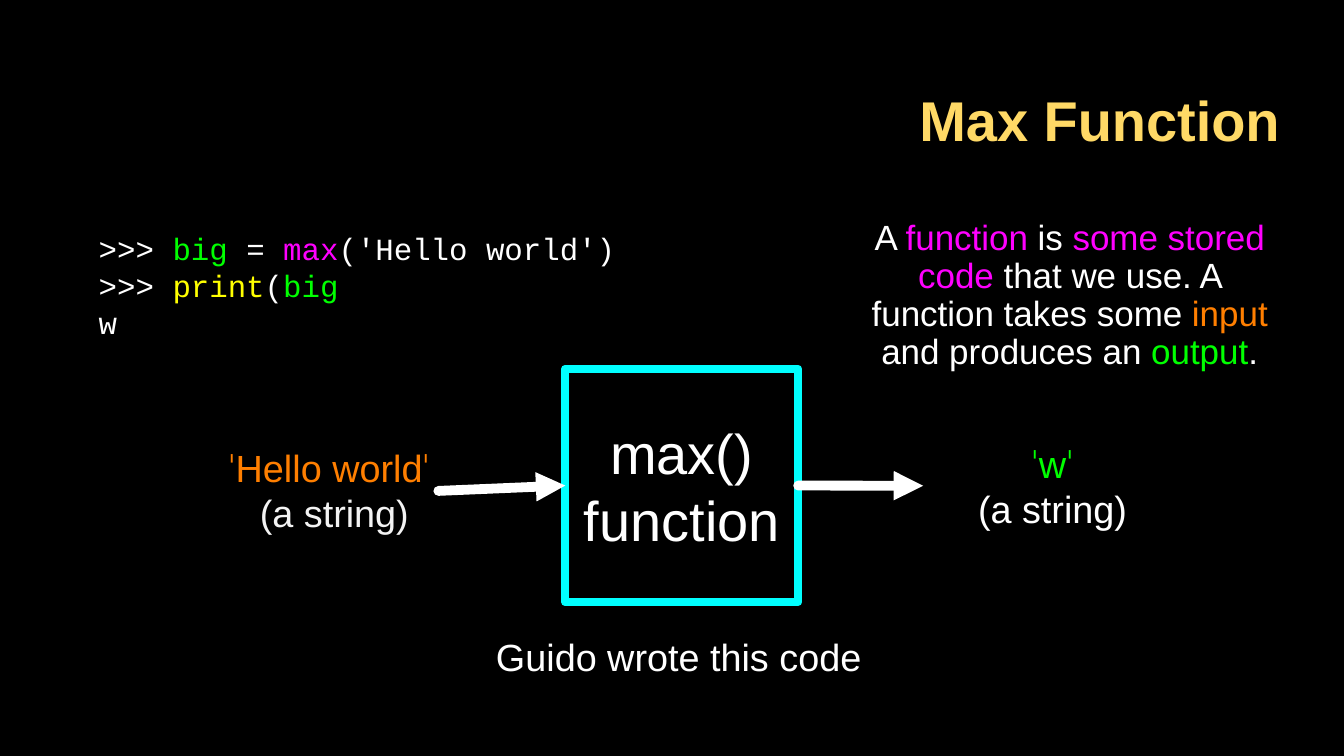
from dataclasses import dataclass

from lxml.etree import SubElement
from pptx import Presentation
from pptx.dml.color import RGBColor
from pptx.enum.shapes import MSO_CONNECTOR, MSO_SHAPE
from pptx.enum.text import MSO_ANCHOR, MSO_AUTO_SIZE, PP_ALIGN
from pptx.oxml.ns import qn
from pptx.util import Cm, Pt


@dataclass(frozen=True)
class Theme:
    black: str = "000000"
    white: str = "FFFFFF"
    pale: str = "F3F3F3"
    gold: str = "FFD966"
    green: str = "00FF00"
    magenta: str = "FF00FF"
    yellow: str = "FFFF00"
    orange: str = "FF7F00"
    cyan: str = "00FFFF"
    sans: str = "Arial"
    mono: str = "Courier New"
    quote: str = "TeX Gyre Adventor"
    heading: int = 40
    label: int = 27
    note: int = 25
    code: int = 22
    frame: int = 6
    arrow: int = 7


THEME = Theme()

# Each line is a list of spans: (text, colour) or (text, colour, font).
TITLE = [[("Max Function", THEME.gold)]]
FUNCTION = [[("max()", THEME.white)], [("function", THEME.white)]]
CODE = [
    [(">>> ", THEME.white), ("big", THEME.green), (" = ", THEME.white),
     ("max", THEME.magenta), ("('Hello world')", THEME.white)],
    [(">>> ", THEME.white), ("print", THEME.yellow), ("(", THEME.white),
     ("big", THEME.green)],
    [("w", THEME.white)],
]
INPUT = [
    [("'", THEME.orange, THEME.quote), ("Hello world", THEME.orange),
     ("' ", THEME.orange, THEME.quote)],
    [("(a string)", THEME.pale)],
]
OUTPUT = [
    [("'", THEME.green, THEME.quote), ("w", THEME.green),
     ("'", THEME.green, THEME.quote)],
    [("(a string)", THEME.white)],
]
DEFINITION = [[
    ("A ", THEME.white), ("function", THEME.magenta), (" is ", THEME.white),
    ("some stored code", THEME.magenta),
    (" that we use. A function takes some ", THEME.white),
    ("input", THEME.orange), (" and produces an ", THEME.white),
    ("output", THEME.green), (".", THEME.white),
]]
CREDIT = [[("Guido wrote this code", THEME.white)]]

# Left, top, width, height in centimetres.
SLIDE_SIZE = (33.88, 19.05)
TITLE_PLACE = (8.41, 1.22, 23.93, 3.58)
FUNCTION_PLACE = (14.25, 9.3, 5.87, 5.87)
INPUT_START = (11.05, 12.37)
OUTPUT_END = (23.27, 12.24)
CENTERED = {"alignment": PP_ALIGN.CENTER}
TEXTS = [
    (CODE, (2.49, 5.46, 14.86, 3.45), THEME.code, THEME.mono,
     {"alignment": PP_ALIGN.LEFT}),
    (INPUT, (5.46, 11.15, 5.94, 2.39), THEME.label, THEME.sans, CENTERED),
    (OUTPUT, (24.26, 11.05, 4.55, 2.39), THEME.label, THEME.sans, CENTERED),
    (DEFINITION, (21.82, 4.72, 10.29, 5.49), THEME.note, THEME.sans,
     {**CENTERED, "line_spacing": 0.9}),
    (CREDIT, (12.4, 15.88, 9.42, 1.3), THEME.label, THEME.sans, CENTERED),
]


def set_all(target, values):
    for name, value in values.items():
        setattr(target, name, value)


def lengths(place):
    return [Cm(value) for value in place]


def write(shape, lines, size, font, layout, inset=0, bold=False):
    """Fill the shape with coloured spans, one paragraph per line."""
    frame = shape.text_frame
    set_all(frame, {"word_wrap": True, "auto_size": MSO_AUTO_SIZE.NONE,
                    "vertical_anchor": MSO_ANCHOR.MIDDLE})
    set_all(frame, {f"margin_{side}": Cm(inset)
                    for side in ("left", "top", "right", "bottom")})
    for index, spans in enumerate(lines):
        para = frame.add_paragraph() if index else frame.paragraphs[0]
        set_all(para, layout)
        for text, color, *special in spans:
            span = para.add_run()
            span.text = text
            set_all(span.font, {"size": Pt(size), "bold": bold,
                                "name": special[0] if special else font})
            span.font.color.rgb = RGBColor.from_string(color)


def set_line(line, color, width):
    line.color.rgb = RGBColor.from_string(color)
    line.width = Pt(width)


def add_arrow(page, start, end):
    arrow = page.shapes.add_connector(
        MSO_CONNECTOR.STRAIGHT, *lengths(start), *lengths(end))
    set_line(arrow.line, THEME.white, THEME.arrow)
    properties = arrow.line._get_or_add_ln()
    properties.set("cap", "rnd")
    SubElement(properties, qn("a:round"))
    SubElement(properties, qn("a:tailEnd"), type="triangle")
    SubElement(arrow._element.spPr, qn("a:effectLst"))
    return arrow


def add_function_box(page):
    box = page.shapes.add_shape(MSO_SHAPE.RECTANGLE, *lengths(FUNCTION_PLACE))
    box.shadow.inherit = False
    box.fill.background()
    set_line(box.line, THEME.cyan, THEME.frame)
    SubElement(box.line._get_or_add_ln(), qn("a:round"))
    write(box, FUNCTION, THEME.heading, THEME.sans, CENTERED)
    return box


def main():
    deck = Presentation()
    deck.slide_width, deck.slide_height = lengths(SLIDE_SIZE)
    page = deck.slides.add_slide(deck.slide_layouts.get_by_name("Title Only"))
    page.background.fill.solid()
    page.background.fill.fore_color.rgb = RGBColor.from_string(THEME.black)

    title = page.shapes.title
    set_all(title, dict(zip(("left", "top", "width", "height"),
                            lengths(TITLE_PLACE))))
    write(title, TITLE, THEME.heading, THEME.sans,
          {"alignment": PP_ALIGN.RIGHT}, inset=0.08, bold=True)

    function_box = add_function_box(page)
    for lines, place, size, font, layout in TEXTS:
        box = page.shapes.add_textbox(*lengths(place))
        write(box, lines, size, font, layout)

    left, top, width, height = FUNCTION_PLACE
    middle = top + height / 2
    add_arrow(page, INPUT_START, (left, middle)).end_connect(function_box, 1)
    add_arrow(page, (left + width, middle), OUTPUT_END).begin_connect(
        function_box, 3)

    deck.save("out.pptx")


if __name__ == "__main__":
    main()
